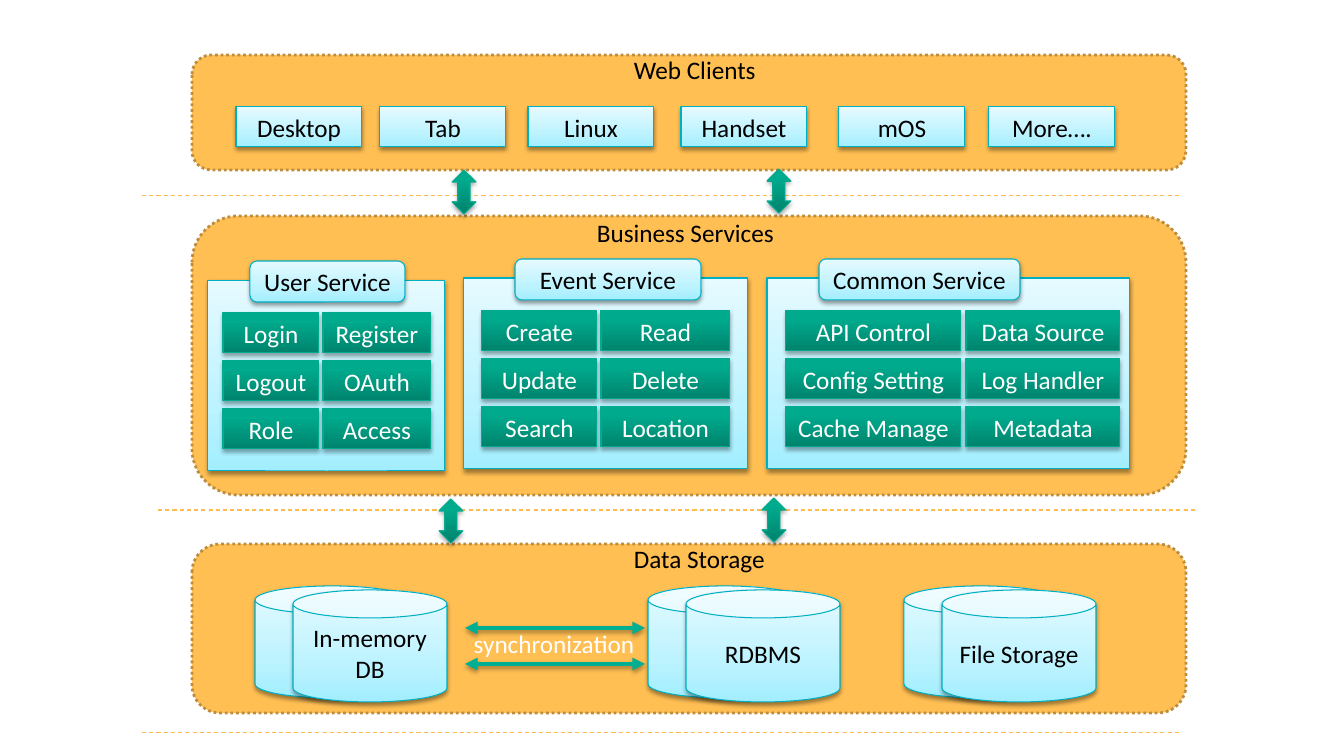
"""Build a slide showing a three-tier service architecture."""
from copy import deepcopy

from lxml import etree
from pptx import Presentation
from pptx.dml.color import RGBColor
from pptx.enum.dml import MSO_LINE
from pptx.enum.shapes import MSO_CONNECTOR, MSO_SHAPE
from pptx.enum.text import MSO_ANCHOR, MSO_AUTO_SIZE, PP_ALIGN
from pptx.oxml.ns import qn
from pptx.util import Emu, Pt

RECT = MSO_SHAPE.RECTANGLE
ROUND = MSO_SHAPE.ROUNDED_RECTANGLE
CAN = MSO_SHAPE.CAN
ARROW = MSO_SHAPE.UP_DOWN_ARROW
STRAIGHT = MSO_CONNECTOR.STRAIGHT
DOTS = MSO_LINE.ROUND_DOT
DASH = MSO_LINE.DASH
CENTER = PP_ALIGN.CENTER
MIDDLE = MSO_ANCHOR.MIDDLE
GROW = MSO_AUTO_SIZE.SHAPE_TO_FIT_TEXT
PX = 914400 / 100.8
FONT = "Calibri"

COLORS = {
    "panel": "FFBF53", "border": "BD8D3D", "rule": "FEBC4D",
    "sync": "00AF92", "black": "000000", "white": "FFFFFF",
}
COLORS = {name: RGBColor.from_string(code) for name, code in COLORS.items()}
STYLES = {
    "pale": {
        "stops": [(0, "A2EEFF"), (0.35, "BDF3FF"), (1, "E6FAFF")],
        "line": "00B0C2", "text": "black", "shade": (20000, 38000),
    },
    "green": {
        "stops": [(0, "00836D"), (0.8, "00AA8D"), (1, "00AA8E")],
        "line": "00AB8F", "text": "white", "shade": (23000, 35000),
    },
}


def shade(effects, dist, alpha):
    """Add a soft shadow that falls straight down."""
    outer = etree.SubElement(effects, qn("a:outerShdw"), blurRad="40000",
                             dist=str(dist), dir="5400000", rotWithShape="0")
    color = etree.SubElement(outer, qn("a:srgbClr"), val="000000")
    etree.SubElement(color, qn("a:alpha"), val=str(alpha))


def block(shapes, kind, x, y, w, h, name, text=""):
    """Add a shaded gradient shape with a centred label."""
    style = STYLES[name]
    shape = shapes.add_shape(kind, *[Emu(round(n * PX)) for n in (x, y, w, h)])
    shape.fill.gradient()
    shape.fill.gradient_angle = 90
    stops = shape._element.spPr.find(".//" + qn("a:gsLst"))
    stops.append(deepcopy(stops[0]))
    for stop, (pos, code) in zip(shape.fill.gradient_stops, style["stops"]):
        stop.position = pos
        stop.color.rgb = RGBColor.from_string(code)
    shape.line.color.rgb = RGBColor.from_string(style["line"])
    shape.line.width = Pt(0.75)
    shape.shadow.inherit = False
    shade(shape._element.spPr.find(qn("a:effectLst")), *style["shade"])
    if text:
        frame = shape.text_frame
        frame.word_wrap = True
        frame.vertical_anchor = MIDDLE
        para = frame.paragraphs[0]
        para.text = text
        para.alignment = CENTER
        para.font.name = FONT
        para.font.size = Pt(18)
        para.font.color.rgb = COLORS[style["text"]]


deck = Presentation()
deck.slide_width = Emu(round(1344 * PX))
deck.slide_height = Emu(round(756 * PX))
slide = deck.slides.add_slide(deck.slide_layouts[6])
shapes = slide.shapes

TIERS = [
    ("Web Clients", 55, 115, 624, 49, 143),
    ("Business Services", 216, 279, 587, 212, 200),
    ("Data Storage", 544, 169, 624, 538, 152),
]
for title, top, high, left, head, wide in TIERS:
    panel = shapes.add_shape(
        ROUND, *[Emu(round(n * PX)) for n in (192, top, 994, high)])
    panel.shadow.inherit = False
    panel.fill.solid()
    panel.fill.fore_color.rgb = COLORS["panel"]
    panel.line.color.rgb = COLORS["border"]
    panel.line.width = Pt(2)
    panel.line.dash_style = DOTS
    label = shapes.add_textbox(
        *[Emu(round(n * PX)) for n in (left, head, wide, 40)])
    frame = label.text_frame
    frame.word_wrap = False
    frame.auto_size = GROW
    para = frame.paragraphs[0]
    para.text = title
    para.font.name = FONT
    para.font.size = Pt(18)
    para.font.color.rgb = COLORS["black"]

CLIENTS = [(236, "Desktop"), (380, "Tab"), (528, "Linux"),
           (681, "Handset"), (839, "mOS"), (989, "More….")]
for x, text in CLIENTS:
    block(shapes, RECT, x, 107, 126, 40, "pale", text)

SERVICES = [
    ("User Service", 208, 280, 237, 250, 155, [
        (223, 96, ["Login", "Logout", "Role"]),
        (323, 108, ["Register", "OAuth", "Access"])]),
    ("Event Service", 464, 278, 284, 515, 186, [
        (482, 115, ["Create", "Update", "Search"]),
        (601, 129, ["Read", "Delete", "Location"])]),
    ("Common Service", 767, 278, 363, 819, 201, [
        (786, 175, ["API Control", "Config Setting", "Cache Manage"]),
        (966, 154, ["Data Source", "Log Handler", "Metadata"])]),
]
for title, left, top, wide, tab, span, cols in SERVICES:
    block(shapes, RECT, left, top, wide, 191, "pale")
    block(shapes, ROUND, tab, top - 19, span, 41, "pale", title)
    for x, w, names in cols:
        for row, text in enumerate(names):
            block(shapes, RECT, x, top + 33 + 48 * row, w, 40, "green", text)

for x, text in [(255, "In-memory DB"), (648, "RDBMS"), (904, "File Storage")]:
    store = shapes.add_group_shape().shapes
    block(store, CAN, x, 586, 154, 112, "pale")
    block(store, CAN, x + 38, 590, 154, 112, "pale", text)

LINES = [
    (142, 1180, 196, "rule"), (158, 1197, 510, "rule"),
    (142, 1180, 733, "rule"),
    (465, 645, 628, "sync"), (465, 645, 664, "sync"),
]
for start, end, y, name in LINES:
    line = shapes.add_connector(
        STRAIGHT, *[Emu(round(n * PX)) for n in (start, y, end, y)])
    line.line.color.rgb = COLORS[name]
    line.line.width = Pt(3 if name == "sync" else 0.75)
    effects = etree.SubElement(line._element.spPr, qn("a:effectLst"))
    if name == "sync":
        stroke = line._element.spPr.find(qn("a:ln"))
        for tip in ("a:headEnd", "a:tailEnd"):
            etree.SubElement(stroke, qn(tip), type="triangle")
        shade(effects, *STYLES["green"]["shade"])
    else:
        line.line.dash_style = DASH

note = shapes.add_textbox(*[Emu(round(n * PX)) for n in (450, 638, 208, 11)])
frame = note.text_frame
frame.word_wrap = True
frame.vertical_anchor = MIDDLE
para = frame.paragraphs[0]
para.text = "synchronization"
para.alignment = CENTER
para.font.name = FONT
para.font.size = Pt(18)
para.font.color.rgb = COLORS["white"]

for x, y in [(452, 170), (767, 169), (439, 499), (762, 498)]:
    block(shapes, ARROW, x, y, 24, 44, "green")

deck.save("out.pptx")
